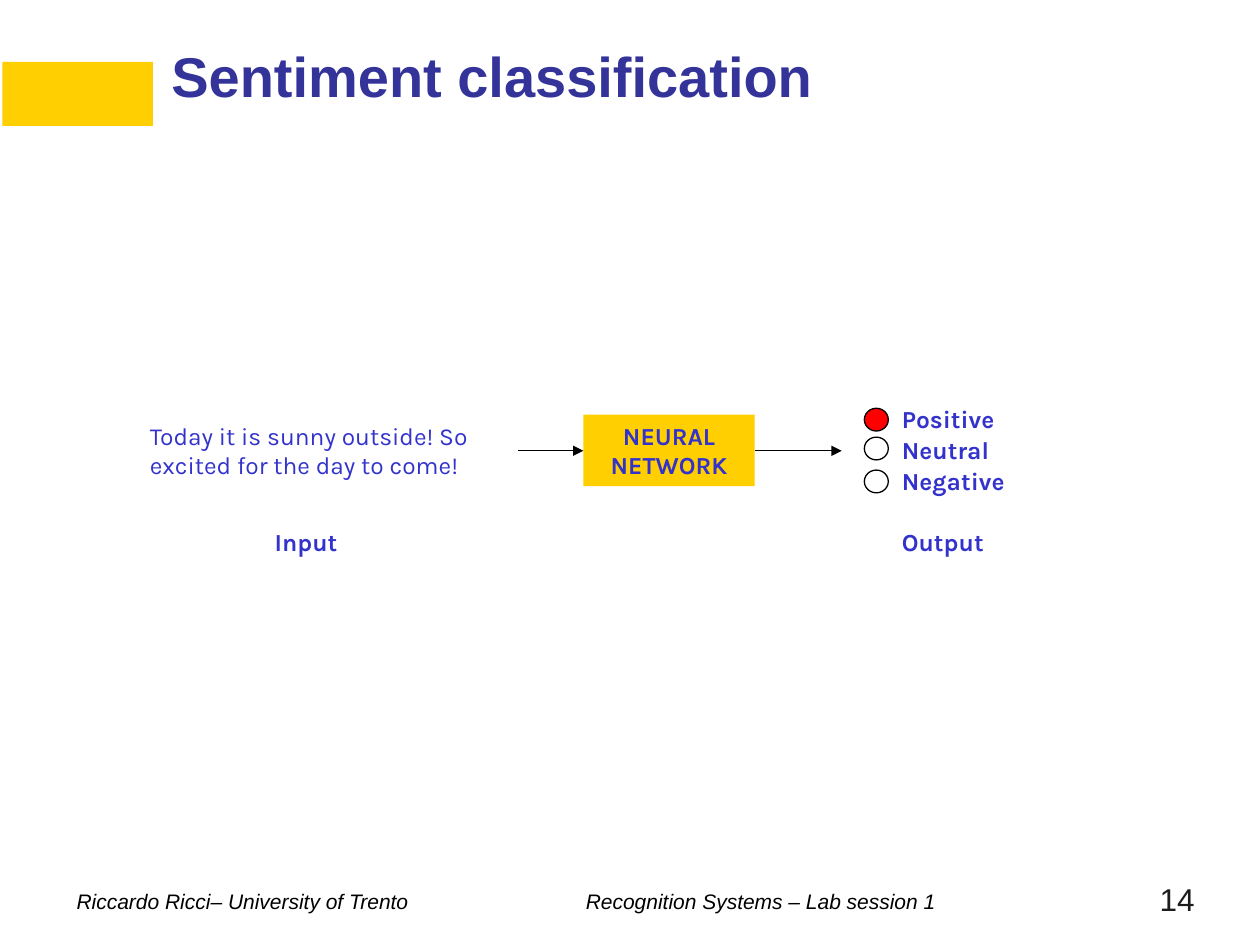
from dataclasses import dataclass

from lxml import etree
from pptx import Presentation
from pptx.dml.color import RGBColor
from pptx.enum import shapes, text
from pptx.oxml import ns
from pptx.util import Pt

BLUE = RGBColor(0x33, 0x33, 0xCC)
NAVY = RGBColor(0x33, 0x33, 0x99)
YELLOW = RGBColor(0xFF, 0xCF, 0x01)
RED = RGBColor(0xFF, 0x00, 0x00)
BLACK = RGBColor(0x00, 0x00, 0x00)
DARK_GREY = RGBColor(0x1C, 0x1C, 0x1C)

LEFT, CENTER, RIGHT = text.PP_ALIGN.LEFT, text.PP_ALIGN.CENTER, text.PP_ALIGN.RIGHT
TOP, BOTTOM = text.MSO_ANCHOR.TOP, text.MSO_ANCHOR.BOTTOM
RECTANGLE = shapes.MSO_SHAPE.RECTANGLE
OVAL = shapes.MSO_SHAPE.OVAL


@dataclass(frozen=True)
class Frame:
    left: float
    top: float
    width: float
    height: float

    def lengths(self) -> tuple:
        return Pt(self.left), Pt(self.top), Pt(self.width), Pt(self.height)


@dataclass(frozen=True)
class Sentiment:
    label: str
    circle_top: float
    label_top: float
    fill: RGBColor | None = None


@dataclass(frozen=True)
class Label:
    words: str
    frame: Frame
    bold: bool = True


SENTIMENTS = (
    Sentiment("Positive", 233.3, 227.5, RED),
    Sentiment("Neutral", 249.8, 244.8),
    Sentiment("Negative", 268.6, 262.8),
)
LABELS = (
    Label("Input", Frame(149.8, 297.4, 54, 24.5)),
    Label("Output", Frame(508.3, 297.4, 64, 24.5)),
    Label("Today it is sunny outside! So excited for the day to come!",
          Frame(78.5, 236.9, 217.4, 41), bold=False),
)
NETWORK = Frame(333.4, 236.9, 97.9, 41)
ARROW_Y = 257.6
ARROW_SPANS = ((295.9, 333.4), (431.3, 481))


def write(shape, words: str, *, size: float = 14, font: str = "Karla",
          color: RGBColor = BLUE, bold: bool = False, italic: bool = False,
          align=LEFT, anchor=TOP, tab_stop: float | None = None) -> None:
    frame = shape.text_frame
    frame.word_wrap = True
    frame.vertical_anchor = anchor
    para = frame.paragraphs[0]
    para.alignment = align
    if tab_stop is not None:
        tabs = etree.SubElement(para._p.get_or_add_pPr(), ns.qn("a:tabLst"))
        etree.SubElement(tabs, ns.qn("a:tab"), pos=str(Pt(tab_stop)), algn="l")
    span = para.add_run()
    span.text = words
    span.font.size = Pt(size)
    span.font.name = font
    span.font.bold = bold
    span.font.italic = italic
    span.font.color.rgb = color


def add_text(page, frame: Frame, words: str, **style) -> None:
    write(page.shapes.add_textbox(*frame.lengths()), words, **style)


def add_figure(page, kind, frame: Frame, fill: RGBColor | None = None,
               line: RGBColor | None = None):
    shape = page.shapes.add_shape(kind, *frame.lengths())
    shape.shadow.inherit = False
    if fill is None:
        shape.fill.background()
    else:
        shape.fill.solid()
        shape.fill.fore_color.rgb = fill
    if line is None:
        shape.line.fill.background()
    else:
        shape.line.color.rgb = line
        shape.line.width = Pt(0.75)
    return shape


def add_arrow(page, start: float, end: float, y: float) -> None:
    arrow = page.shapes.add_connector(
        shapes.MSO_CONNECTOR.STRAIGHT, Pt(start), Pt(y), Pt(end), Pt(y))
    arrow.line.color.rgb = BLACK
    arrow.line.width = Pt(0.75)
    etree.SubElement(arrow.line._get_or_add_ln(), ns.qn("a:tailEnd"), type="triangle")
    etree.SubElement(arrow._element.spPr, ns.qn("a:effectLst"))


def add_sentiment(page, sentiment: Sentiment) -> None:
    add_figure(page, OVAL, Frame(493.9, sentiment.circle_top, 13.7, 13),
               fill=sentiment.fill, line=BLACK)
    add_text(page, Frame(508.3, sentiment.label_top, 192.2, 24.5),
             sentiment.label, bold=True)


def main() -> None:
    deck = Presentation()
    deck.slide_width, deck.slide_height = Pt(720), Pt(540)
    page = deck.slides.add_slide(deck.slide_layouts.get_by_name("Title Only"))

    add_figure(page, RECTANGLE, Frame(1.4, 35.3, 86, 36.7), fill=YELLOW)
    add_text(page, Frame(36.7, 504, 629.3, 21.6),
             "Riccardo Ricci– University of Trento\tRecognition Systems – Lab session 1",
             size=12, font="Arial", color=BLACK, italic=True, tab_stop=291)
    add_text(page, Frame(645.1, 491.8, 44.6, 36), "14", size=18, font="Arial",
             color=DARK_GREY, align=RIGHT, anchor=BOTTOM)

    title = page.shapes.title
    title.left, title.top, title.width, title.height = Frame(
        90.7, 16.6, 509, 49).lengths()
    write(title, "Sentiment classification", size=32, font="Arial", color=NAVY,
          bold=True, anchor=BOTTOM)

    for label in LABELS:
        add_text(page, label.frame, label.words, bold=label.bold)
    network = add_figure(page, RECTANGLE, NETWORK, fill=YELLOW)
    write(network, "NEURAL NETWORK", bold=True, align=CENTER)
    for start, end in ARROW_SPANS:
        add_arrow(page, start, end, ARROW_Y)
    for sentiment in SENTIMENTS:
        add_sentiment(page, sentiment)

    deck.save("out.pptx")


if __name__ == "__main__":
    main()
